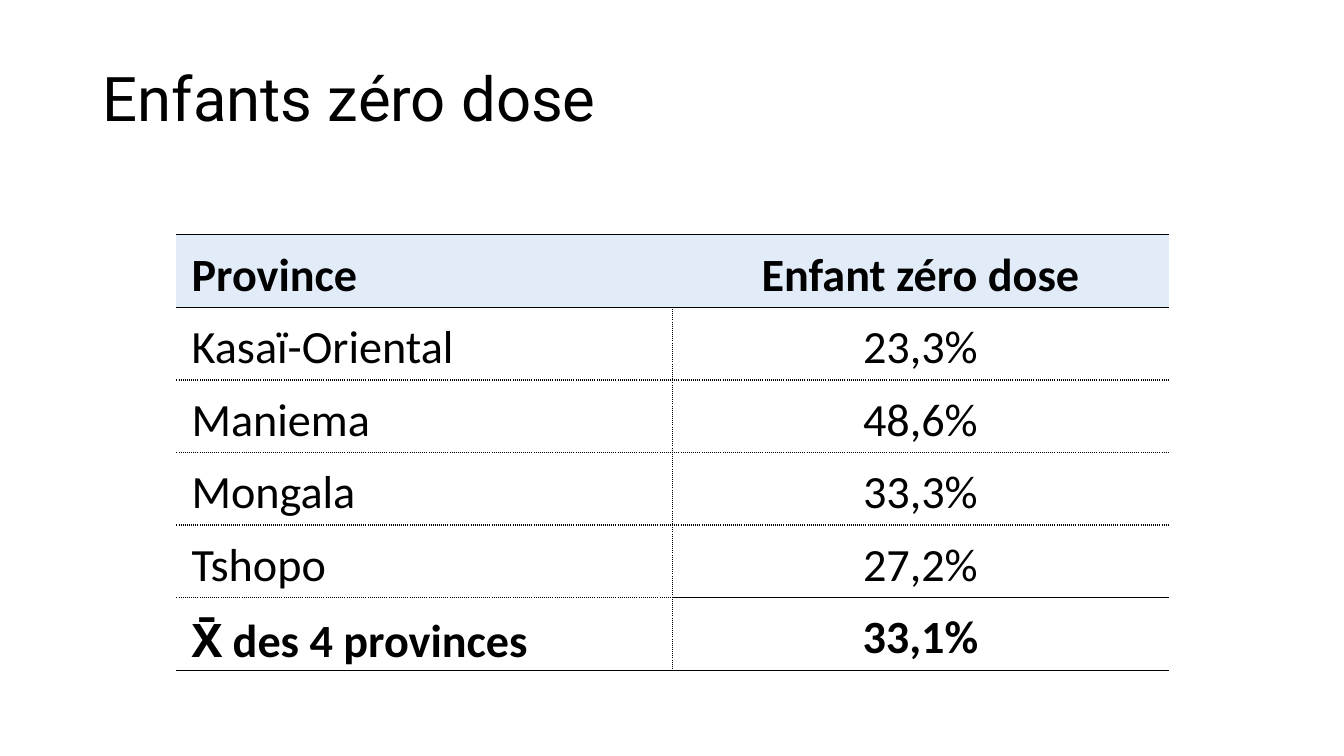
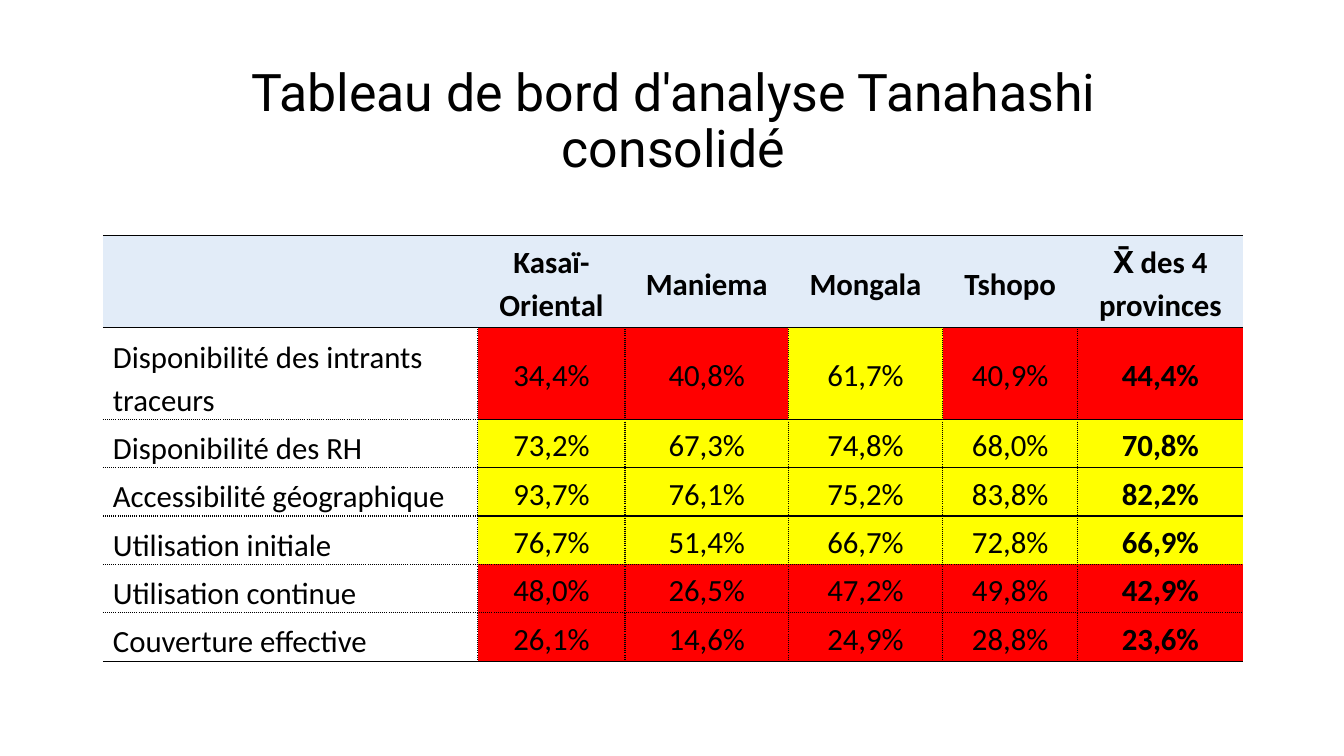
from dataclasses import dataclass
from typing import Optional

from lxml import etree
from pptx import Presentation
from pptx.dml.color import RGBColor as RGB
from pptx.enum.text import MSO_ANCHOR as ANCHOR, MSO_AUTO_SIZE as AUTO, PP_ALIGN as ALIGN
from pptx.oxml.ns import qn
from pptx.util import Inches, Pt

TITLE_ONLY = 5


@dataclass(frozen=True)
class Theme:
    text: RGB = RGB(0x00, 0x00, 0x00)
    header: RGB = RGB(0xE2, 0xEC, 0xF8)
    low: RGB = RGB(0xFF, 0x00, 0x00)
    medium: RGB = RGB(0xFF, 0xFF, 0x00)
    title_font: str = "Roboto"
    body_font: str = "Calibri"
    title_size: int = 44
    long_title_size: int = 37
    large_cell: int = 33
    small_cell: int = 22
    rule: int = 1
    threshold: float = 50


THEME = Theme()


@dataclass(frozen=True)
class Title:
    text: str
    box: tuple[float, float, float, float]
    size: int
    align: ALIGN
    anchor: ANCHOR


@dataclass(frozen=True)
class Grid:
    left: float
    top: float
    widths: list[float]
    heights: list[float]
    size: int
    inset: float
    header: list[str]
    body: list[tuple[str, list[float]]]
    solid_rules: set[int]  # inner rules drawn solid under the values
    bold_row: Optional[int] = None
    bold_col: Optional[int] = None
    bottom_rows: frozenset[int] = frozenset()  # rows whose label sits low
    header_align: ALIGN = ALIGN.CENTER
    rated: bool = False


def set_format(target, **values) -> None:
    for name, value in values.items():
        setattr(target, name, value)


def set_font(font, name: str, size: int, bold: bool = False) -> None:
    set_format(font, name=name, size=Pt(size), bold=bold)
    font.color.rgb = THEME.text


def add_title(s, title: Title) -> None:
    sp = s.shapes.title
    set_format(sp, **dict(zip(("left", "top", "width", "height"), map(Inches, title.box))))
    tf = sp.text_frame
    set_format(tf, word_wrap=True, auto_size=AUTO.NONE, vertical_anchor=title.anchor)
    p = tf.paragraphs[0]
    set_format(p, alignment=title.align, line_spacing=0.9)
    r = p.add_run()
    r.text = title.text
    set_font(r.font, THEME.title_font, title.size)


def set_borders(cell, styles: dict[str, Optional[str]]) -> None:
    """Draw each side with its dash name, or hide it when the name is None."""
    tc_pr = cell._tc.get_or_add_tcPr()
    for side in "LRTB":
        ln = etree.SubElement(tc_pr, qn(f"a:ln{side}"), w=str(Pt(THEME.rule)))
        if styles[side] is None:
            etree.SubElement(ln, qn("a:noFill"))
            continue
        fill = etree.SubElement(ln, qn("a:solidFill"))
        etree.SubElement(fill, qn("a:srgbClr"), val=str(THEME.text))
        etree.SubElement(ln, qn("a:prstDash"), val=styles[side])


def horizontal_dash(grid: Grid, rule: int, col: int) -> str:
    frame = {0, 1, len(grid.heights)}
    return "solid" if rule in frame or (col and rule in grid.solid_rules) else "sysDot"


def vertical_dash(grid: Grid, rule: int, row: int) -> Optional[str]:
    return "sysDot" if row and 0 < rule < len(grid.widths) else None


def fill_cell(cell, color: Optional[RGB]) -> None:
    if color is None:
        cell.fill.background()
    else:
        cell.fill.solid()
        cell.fill.fore_color.rgb = color


def cell_color(grid: Grid, row: int, col: int) -> Optional[RGB]:
    if row == 0:
        return THEME.header
    if col == 0 or not grid.rated:
        return None
    return THEME.low if grid.body[row - 1][1][col - 1] < THEME.threshold else THEME.medium


def write_cell(cell, grid: Grid, text: str, row: int, col: int) -> None:
    low_label = col == 0 and row in grid.bottom_rows
    set_format(cell, margin_left=Inches(grid.inset), margin_right=Inches(grid.inset),
               margin_top=0, margin_bottom=0,
               vertical_anchor=ANCHOR.BOTTOM if low_label else ANCHOR.MIDDLE)
    p = cell.text_frame.paragraphs[0]
    set_format(p, alignment=ALIGN.CENTER if col else ALIGN.LEFT,
               line_spacing=1.15, space_after=Pt(8))
    if text:
        r = p.add_run()
        r.text = text
        bold = row in (0, grid.bold_row) or col == grid.bold_col
        set_font(r.font, THEME.body_font, grid.size, bold)


def add_grid(s, grid: Grid) -> None:
    rows = [grid.header] + [
        [label, *(f"{value:.1f}%".replace(".", ",") for value in values)]
        for label, values in grid.body
    ]
    table = s.shapes.add_table(
        len(rows), len(grid.widths), Inches(grid.left), Inches(grid.top),
        Inches(sum(grid.widths)), Inches(sum(grid.heights))).table
    set_format(table, first_row=False, horz_banding=False)
    for column, width in zip(table.columns, grid.widths):
        column.width = Inches(width)
    for table_row, height in zip(table.rows, grid.heights):
        table_row.height = Inches(height)
    for i, texts in enumerate(rows):
        for j, text in enumerate(texts):
            cell = table.cell(i, j)
            write_cell(cell, grid, text, i, j)
            set_borders(cell, {
                "L": vertical_dash(grid, j, i), "R": vertical_dash(grid, j + 1, i),
                "T": horizontal_dash(grid, i, j), "B": horizontal_dash(grid, i + 1, j)})
            fill_cell(cell, cell_color(grid, i, j))


PROVINCES = ["Kasaï-Oriental", "Maniema", "Mongala", "Tshopo"]
MEAN = "X̄ des 4 provinces"

SLIDES = [
    (
        Title("Enfants zéro dose", (0.92, 0.28, 11.49, 1.11),
              THEME.title_size, ALIGN.LEFT, ANCHOR.BOTTOM),
        Grid(1.75, 2.33, [4.92] * 2, [0.72] * 6, THEME.large_cell, 0.15,
             header=["Province", "Enfant zéro dose"],
             body=[(name, [value]) for name, value in
                   zip(PROVINCES + [MEAN], [23.3, 48.6, 33.3, 27.2, 33.1])],
             solid_rules={5}, bold_row=5, bottom_rows=frozenset({5})),
    ),
    (
        Title("Tableau de bord d'analyse Tanahashi consolidé", (1.67, 0.6, 10.02, 1.24),
              THEME.long_title_size, ALIGN.CENTER, ANCHOR.MIDDLE),
        Grid(1.02, 2.34, [3.72, 1.46, 1.62, 1.53, 1.34, 1.64], [0.91] * 2 + [0.48] * 5,
             THEME.small_cell, 0.1,
             header=["", *PROVINCES, MEAN],
             body=[
                 ("Disponibilité des intrants traceurs", [34.4, 40.8, 61.7, 40.9, 44.4]),
                 ("Disponibilité des RH", [73.2, 67.3, 74.8, 68.0, 70.8]),
                 ("Accessibilité géographique", [93.7, 76.1, 75.2, 83.8, 82.2]),
                 ("Utilisation initiale", [76.7, 51.4, 66.7, 72.8, 66.9]),
                 ("Utilisation continue", [48.0, 26.5, 47.2, 49.8, 42.9]),
                 ("Couverture effective", [26.1, 14.6, 24.9, 28.8, 23.6]),
             ],
             solid_rules={2, 3, 4}, bold_col=5, bottom_rows=frozenset(range(1, 7)),
             rated=True),
    ),
]


def main() -> None:
    prs = Presentation()
    set_format(prs, slide_width=Inches(13.33), slide_height=Inches(7.5))
    for title, grid in SLIDES:
        s = prs.slides.add_slide(prs.slide_layouts[TITLE_ONLY])
        add_title(s, title)
        add_grid(s, grid)
    prs.save("out.pptx")


if __name__ == "__main__":
    main()
